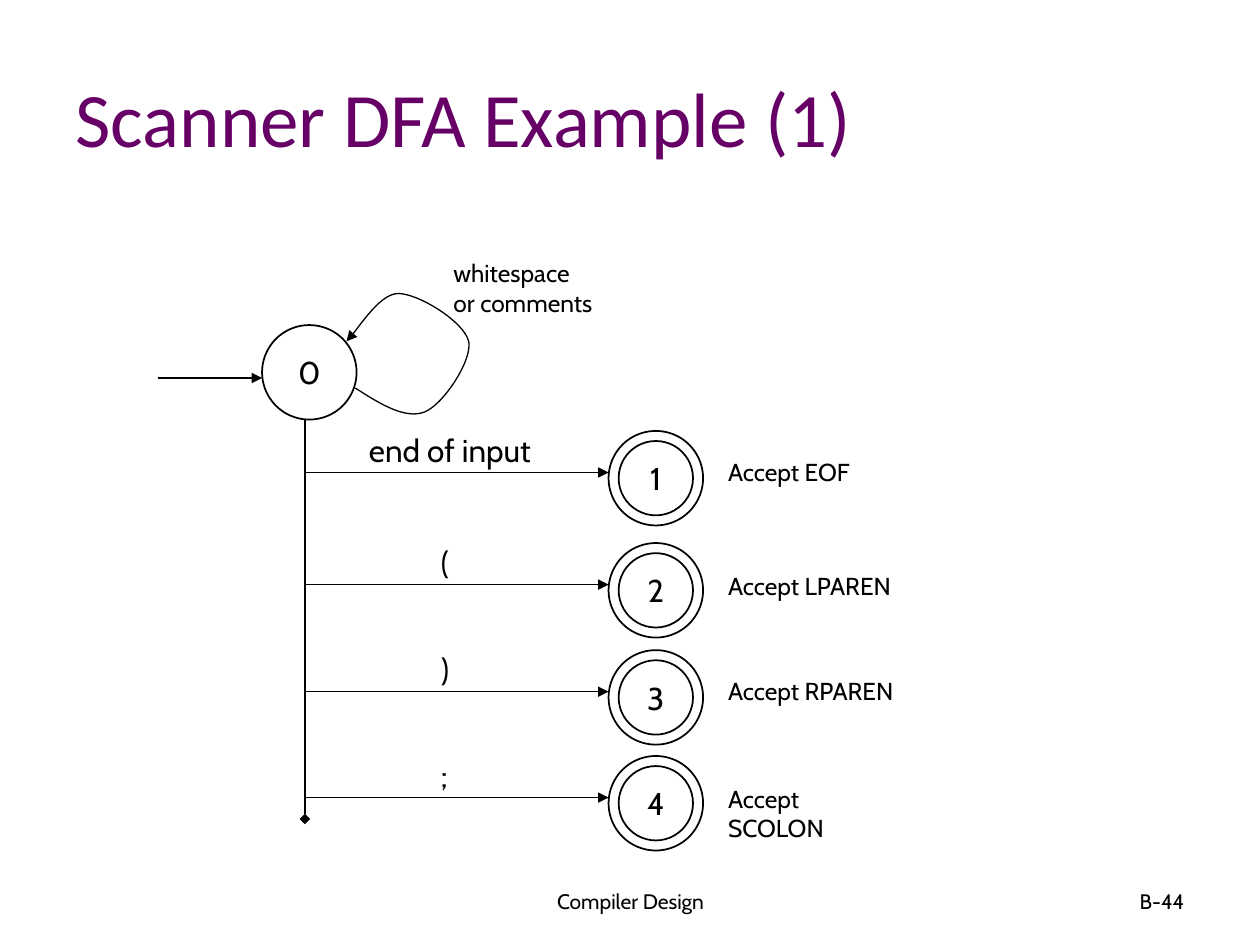
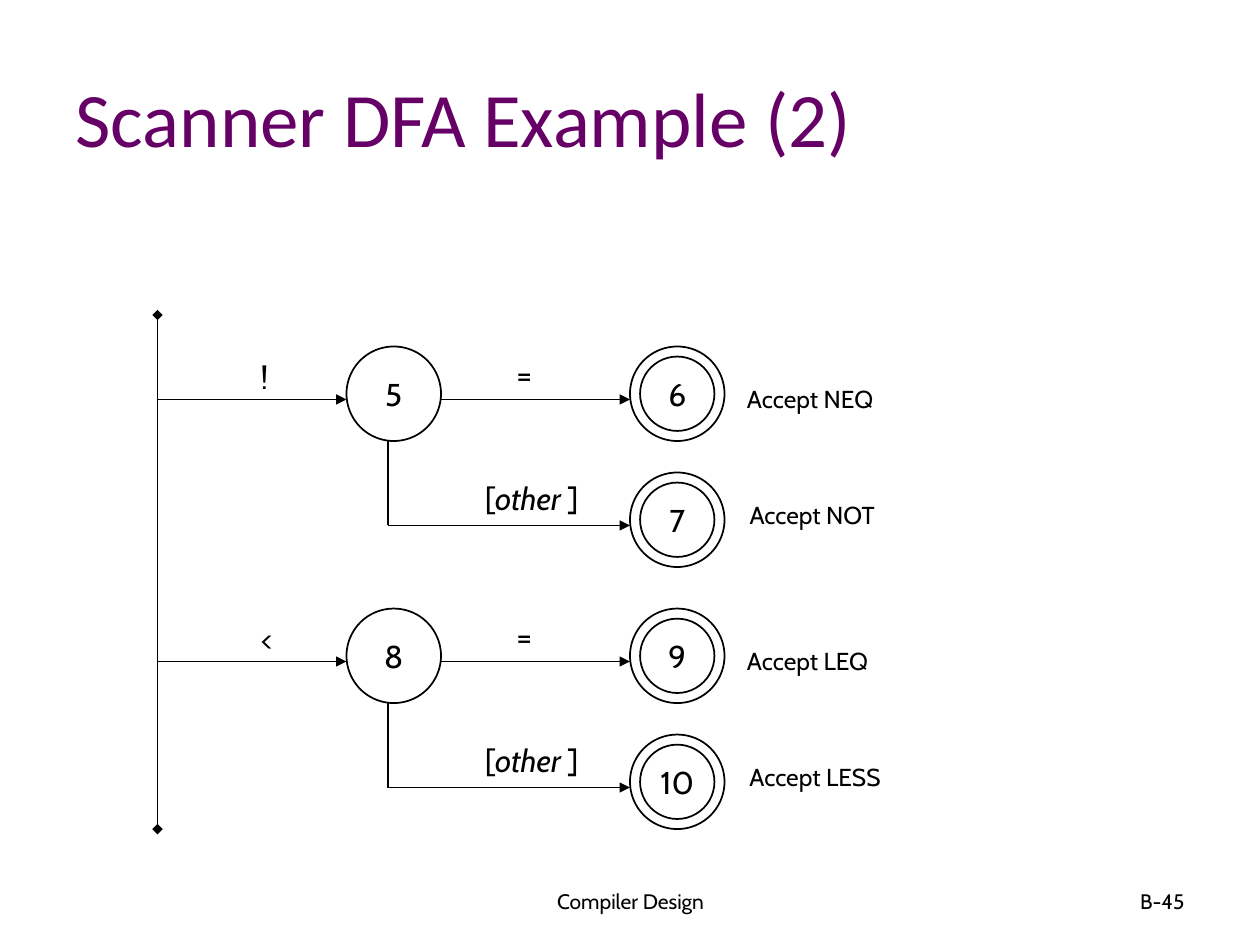
"""Build two slides that diagram a scanner as a finite automaton."""
from dataclasses import dataclass

from lxml.etree import SubElement
from pptx import Presentation
from pptx.dml.color import RGBColor
from pptx.enum.shapes import MSO_CONNECTOR, MSO_SHAPE
from pptx.enum.text import MSO_ANCHOR, PP_ALIGN
from pptx.oxml.ns import qn
from pptx.util import Inches, Pt

FOOTER = "Compiler Design"
OTHER = ("[", "other ", "]")

FIRST = {
    "title": "Scanner DFA Example (1)",
    "number": "B-44",
    "start": "0",
    "loop": "whitespace\nor comments",
    "branches": [
        {"y": 3.75, "symbol": "end of input", "symbol_x": 2.83, "symbol_width": 1.54,
         "state": "1", "accept": "Accept EOF", "accept_y": 3.58, "accept_width": 1.18},
        {"y": 4.64, "symbol": "(", "symbol_x": 3.4, "symbol_width": 0.3,
         "state": "2", "accept": "Accept LPAREN", "accept_y": 4.48, "accept_width": 1.52},
        {"y": 5.49, "symbol": ")", "symbol_x": 3.4, "symbol_width": 0.3,
         "state": "3", "accept": "Accept RPAREN", "accept_y": 5.32, "accept_width": 1.54},
        {"y": 6.33, "symbol": ";", "symbol_x": 3.4, "symbol_width": 0.29,
         "state": "4", "accept": "Accept SCOLON", "accept_y": 6.17, "accept_width": 1.3,
         "wrap": True},
    ],
}

SECOND = {
    "title": "Scanner DFA Example (2)",
    "number": "B-45",
    "branches": [
        {"y": 3.17, "symbol": "!", "symbol_width": 0.28, "state": "5",
         "equal": ("6", "Accept NEQ", 1.21), "other": ("7", "Accept NOT", 1.21)},
        {"y": 5.25, "symbol": "<", "symbol_width": 0.38, "state": "8",
         "equal": ("9", "Accept LEQ", 1.18), "other": ("10", "Accept LESS", 1.26)},
    ],
}

LOOP_START = (2.82, 3.08)
LOOP_CURVES = [
    ((3.02, 3.21), (3.22, 3.33), (3.37, 3.27)),
    ((3.52, 3.21), (3.75, 2.86), (3.72, 2.71)),
    ((3.68, 2.55), (3.32, 2.33), (3.16, 2.33)),
    ((3.0, 2.33), (2.82, 2.65), (2.75, 2.71)),
]
CURVE_STEPS = 16
STATE_SIZE = 0.75
RING_GAP = 0.08


@dataclass(frozen=True)
class Theme:
    """Colours, fonts and type sizes that the slides share."""
    ink: RGBColor = RGBColor(0, 0, 0)
    heading: RGBColor = RGBColor(0x66, 0, 0x66)
    title_font: str = "Calibri"
    body_font: str = "Cabin"
    title_size: int = 44
    symbol_size: int = 18
    label_size: int = 14
    footer_size: int = 12
    outline: float = 1
    thin: float = 0.75


THEME = Theme()


def format_runs(frame, size, align=PP_ALIGN.LEFT, font=THEME.body_font, color=THEME.ink):
    """Apply one style to all text in a frame."""
    for para in frame.paragraphs:
        para.alignment = align
        for span in para.runs:
            span.font.name = font
            span.font.size = Pt(size)
            span.font.color.rgb = color


def add_text(page, text, at, size, align=PP_ALIGN.LEFT, anchor=MSO_ANCHOR.TOP, wrap=False):
    """Add a text box; a tuple of three parts has its middle part in italics."""
    box = page.shapes.add_textbox(*map(Inches, at))
    frame = box.text_frame
    frame.word_wrap = wrap
    frame.vertical_anchor = anchor
    if isinstance(text, tuple):
        for index, part in enumerate(text):
            span = frame.paragraphs[0].add_run()
            span.text = part
            span.font.italic = index == 1
    else:
        frame.text = text
    format_runs(frame, size, align)


def add_symbol(page, text, left, top, width):
    """Add the symbol written above a transition."""
    add_text(page, text, (left, top, width, 0.4), THEME.symbol_size)


def add_accept(page, text, left, top, width, wrap=False):
    """Add the action written beside an accepting state."""
    add_text(page, text, (left, top, width, 0.33), THEME.label_size, wrap=wrap)


def style_line(shape, width, head=None, tail=None):
    """Set the line of a shape and its optional end marks."""
    shape.line.color.rgb = THEME.ink
    shape.line.width = Pt(width)
    outline = shape.element.spPr.find(qn("a:ln"))
    for tag, kind in (("a:headEnd", head), ("a:tailEnd", tail)):
        if kind:
            SubElement(outline, qn(tag), type=kind)


def add_line(page, start, end, width=THEME.thin, head=None, tail="triangle"):
    """Add a straight transition."""
    line = page.shapes.add_connector(MSO_CONNECTOR.STRAIGHT, *map(Inches, start + end))
    style_line(line, width, head, tail)
    SubElement(line.element.spPr, qn("a:effectLst"))


def add_circle(shapes, left, top, size, text=""):
    """Add an unfilled circle with an optional state number."""
    circle = shapes.add_shape(MSO_SHAPE.OVAL, *map(Inches, (left, top, size, size)))
    circle.shadow.inherit = False
    circle.fill.background()
    style_line(circle, THEME.outline)
    if text:
        frame = circle.text_frame
        frame.text = text
        frame.word_wrap = False
        frame.vertical_anchor = MSO_ANCHOR.MIDDLE
        format_runs(frame, THEME.symbol_size, PP_ALIGN.CENTER)


def add_accepting_state(page, left, top, text):
    """Add a double circle as one group."""
    group = page.shapes.add_group_shape()
    add_circle(group.shapes, left, top, STATE_SIZE)
    add_circle(group.shapes, left + RING_GAP, top + RING_GAP, STATE_SIZE - 2 * RING_GAP, text)


def curve_points(start, curves):
    """Return points along a chain of cubic curves."""
    points = []
    for first, second, end in curves:
        for step in range(1, CURVE_STEPS + 1):
            t = step / CURVE_STEPS
            weights = ((1 - t) ** 3, 3 * t * (1 - t) ** 2, 3 * t * t * (1 - t), t ** 3)
            corners = (start, first, second, end)
            points.append(tuple(
                Inches(sum(weight * corner[axis] for weight, corner in zip(weights, corners)))
                for axis in (0, 1)))
        start = end
    return points


def add_loop(page):
    """Add the curved transition from the start state to itself."""
    builder = page.shapes.build_freeform(*map(Inches, LOOP_START))
    builder.add_line_segments(curve_points(LOOP_START, LOOP_CURVES), close=False)
    loop = builder.convert_to_shape()
    loop.shadow.inherit = False
    loop.fill.background()
    style_line(loop, THEME.thin, tail="triangle")


def add_page(deck, content):
    """Add a slide with its title and footers."""
    page = deck.slides.add_slide(deck.slide_layouts[5])
    title = page.shapes.title
    title.left, title.top, title.width, title.height = map(Inches, (0.5, 0.3, 9, 1.25))
    title.text_frame.text = content["title"]
    title.text_frame.vertical_anchor = MSO_ANCHOR.MIDDLE
    format_runs(title.text_frame, THEME.title_size, font=THEME.title_font, color=THEME.heading)
    for text, left, width, align in (
            (FOOTER, 3.42, 3.17, PP_ALIGN.CENTER),
            (content["number"], 7.17, 2.33, PP_ALIGN.RIGHT)):
        add_text(page, text, (left, 6.95, width, 0.4), THEME.footer_size, align,
                 MSO_ANCHOR.MIDDLE, wrap=True)
    return page


def draw_first(deck):
    """Draw the start state and its single-symbol tokens."""
    page = add_page(deck, FIRST)
    trunk, accept = 2.42, 4.83
    add_circle(page.shapes, 2.08, 2.58, STATE_SIZE, FIRST["start"])
    add_line(page, (1.25, 3), (2.08, 3), THEME.outline)
    add_loop(page)
    add_text(page, FIRST["loop"], (3.5, 2, 1.32, 0.57), THEME.label_size)
    add_line(page, (trunk, 3.33), (trunk, 6.5), tail="diamond")
    for branch in FIRST["branches"]:
        y = branch["y"]
        add_line(page, (trunk, y), (accept, y))
        add_symbol(page, branch["symbol"], branch["symbol_x"], y - 0.38, branch["symbol_width"])
        add_accepting_state(page, accept, y - 0.33, branch["state"])
        add_accept(page, branch["accept"], accept + 0.85, branch["accept_y"],
                   branch["accept_width"], branch.get("wrap", False))


def draw_second(deck):
    """Draw the tokens that need a second symbol."""
    page = add_page(deck, SECOND)
    trunk, middle, accept = 1.25, 2.75, 5
    drop, rise = 3.08, 0.42
    add_line(page, (trunk, 2.5), (trunk, 6.58), head="diamond", tail="diamond")
    for branch in SECOND["branches"]:
        y = branch["y"]
        low = y + 1
        add_line(page, (trunk, y), (middle, y))
        add_symbol(page, branch["symbol"], 1.97, y - 0.38, branch["symbol_width"])
        add_circle(page.shapes, middle, y - rise, STATE_SIZE, branch["state"])
        add_line(page, (middle + STATE_SIZE, y), (accept, y))
        add_symbol(page, "=", 4, y - 0.4, 0.38)
        add_line(page, (drop, y + 0.33), (drop, low), tail=None)
        add_line(page, (drop, low), (accept, low))
        add_symbol(page, OTHER, 3.75, low - rise, 1.06)
        for key, level, left, lift in (("equal", y, 5.83, 0.17), ("other", low, 5.85, 0.25)):
            state, label, width = branch[key]
            add_accepting_state(page, accept, level - rise, state)
            add_accept(page, label, left, level - lift, width)


def main():
    """Build and save the deck."""
    deck = Presentation()
    deck.slide_width, deck.slide_height = Inches(10), Inches(7.5)
    draw_first(deck)
    draw_second(deck)
    deck.save("out.pptx")


if __name__ == "__main__":
    main()
